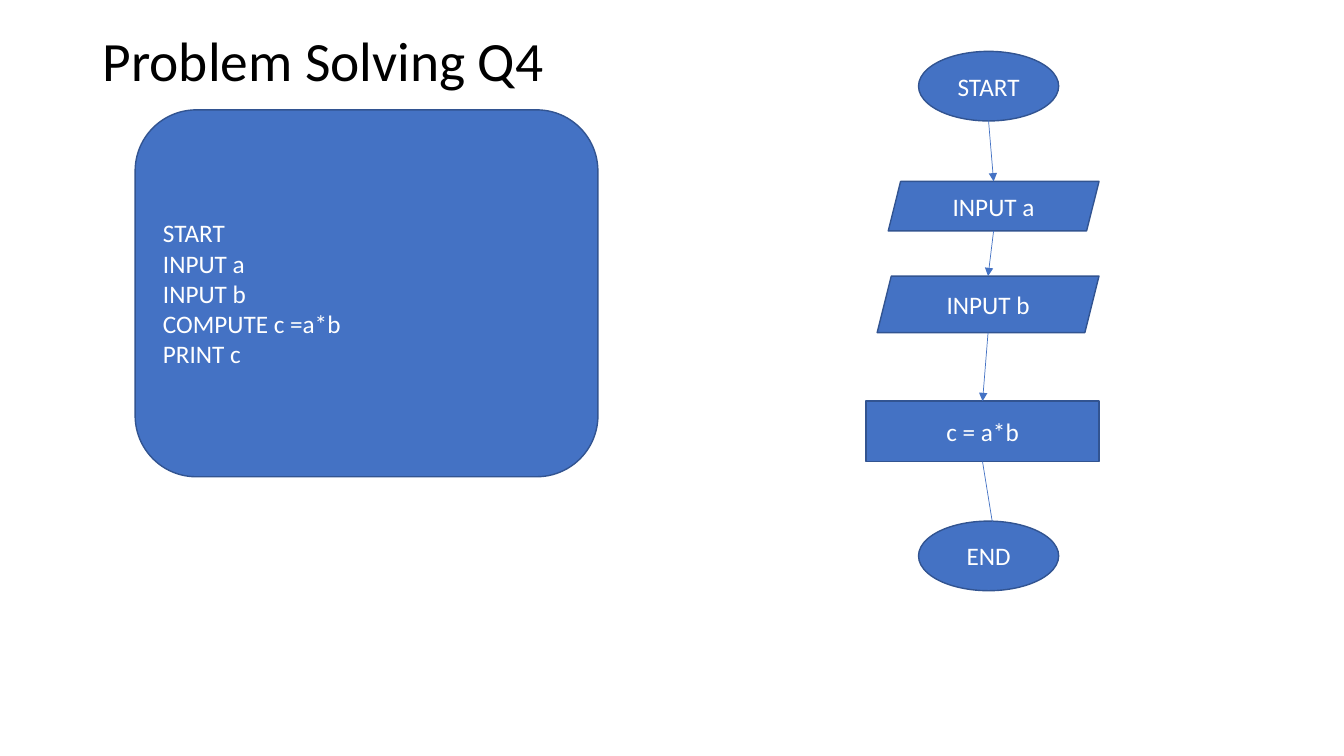
import itertools

import pptx
import pptx.dml.color
import pptx.enum.shapes
import pptx.enum.text
import pptx.util
from lxml import etree
from pptx.oxml.ns import qn
from pptx.util import Inches, Pt

FONT = "Calibri"
BLUE, OUTLINE, WHITE, BLACK = "4472C4", "325491", "FFFFFF", "000000"
KINDS = pptx.enum.shapes.MSO_SHAPE
ALIGN = pptx.enum.text.PP_ALIGN

PSEUDOCODE = ["START", "INPUT a", "INPUT b", "COMPUTE c =a*b", "PRINT c"]

# Flowchart steps from top to bottom: kind, label, left, top, width, height
STEPS = [
    (KINDS.OVAL, "START", 9.11, 0.51, 1.39, 0.69),
    (KINDS.PARALLELOGRAM, "INPUT a", 8.81, 1.8, 2.09, 0.49),
    (KINDS.PARALLELOGRAM, "INPUT b", 8.7, 2.74, 2.2, 0.56),
    (KINDS.RECTANGLE, "c = a*b", 8.59, 3.98, 2.31, 0.6),
    (KINDS.OVAL, "END", 9.11, 5.17, 1.39, 0.69),
]
# The last arrow ends just inside the END oval
END_POINT = (Inches(9.86), Inches(5.29))


def color(value):
    return pptx.dml.color.RGBColor.from_string(value)


def write_lines(shape, lines, size, ink, align):
    frame = shape.text_frame
    frame.word_wrap = True
    frame.vertical_anchor = pptx.enum.text.MSO_ANCHOR.MIDDLE
    frame.text = "\n".join(lines)
    for paragraph in frame.paragraphs:
        paragraph.alignment = align
        paragraph.font.name = FONT
        paragraph.font.size = Pt(size)
        paragraph.font.color.rgb = color(ink)


def add_title(page, text):
    box = page.shapes.add_textbox(Inches(0.92), Inches(0.4), Inches(11.5), Inches(0.46))
    write_lines(box, [text], 39.6, BLACK, ALIGN.LEFT)
    box.text_frame.paragraphs[0].line_spacing = 0.9


def add_block(page, kind, lines, left, top, width, height, align=ALIGN.CENTER):
    block = page.shapes.add_shape(
        kind, Inches(left), Inches(top), Inches(width), Inches(height))
    block.shadow.inherit = False
    block.fill.solid()
    block.fill.fore_color.rgb = color(BLUE)
    block.line.color.rgb = color(OUTLINE)
    block.line.width = Pt(1)
    write_lines(block, lines, 18, WHITE, align)
    return block


def top_center(block):
    return block.left + block.width // 2, block.top


def bottom_center(block):
    return block.left + block.width // 2, block.top + block.height


def add_arrow(page, start, end):
    arrow = page.shapes.add_connector(
        pptx.enum.shapes.MSO_CONNECTOR.STRAIGHT, *start, *end)
    arrow.line.color.rgb = color(BLUE)
    arrow.line.width = Pt(0.5)
    # Arrowhead, and no shadow
    properties = arrow.element.spPr
    etree.SubElement(properties.find(qn("a:ln")), qn("a:tailEnd"), type="triangle")
    etree.SubElement(properties, qn("a:effectLst"))


def main():
    deck = pptx.Presentation()
    deck.slide_width, deck.slide_height = Inches(13.33), Inches(7.5)
    page = deck.slides.add_slide(deck.slide_layouts[6])

    # Title and pseudocode
    add_title(page, "Problem Solving Q4")
    add_block(page, KINDS.ROUNDED_RECTANGLE, PSEUDOCODE,
              1.34, 1.09, 4.59, 3.64, ALIGN.LEFT)

    # Flowchart
    blocks = [add_block(page, kind, [label], *place) for kind, label, *place in STEPS]
    for upper, lower in itertools.pairwise(blocks):
        end = END_POINT if lower is blocks[-1] else top_center(lower)
        add_arrow(page, bottom_center(upper), end)

    deck.save("out.pptx")


main()
